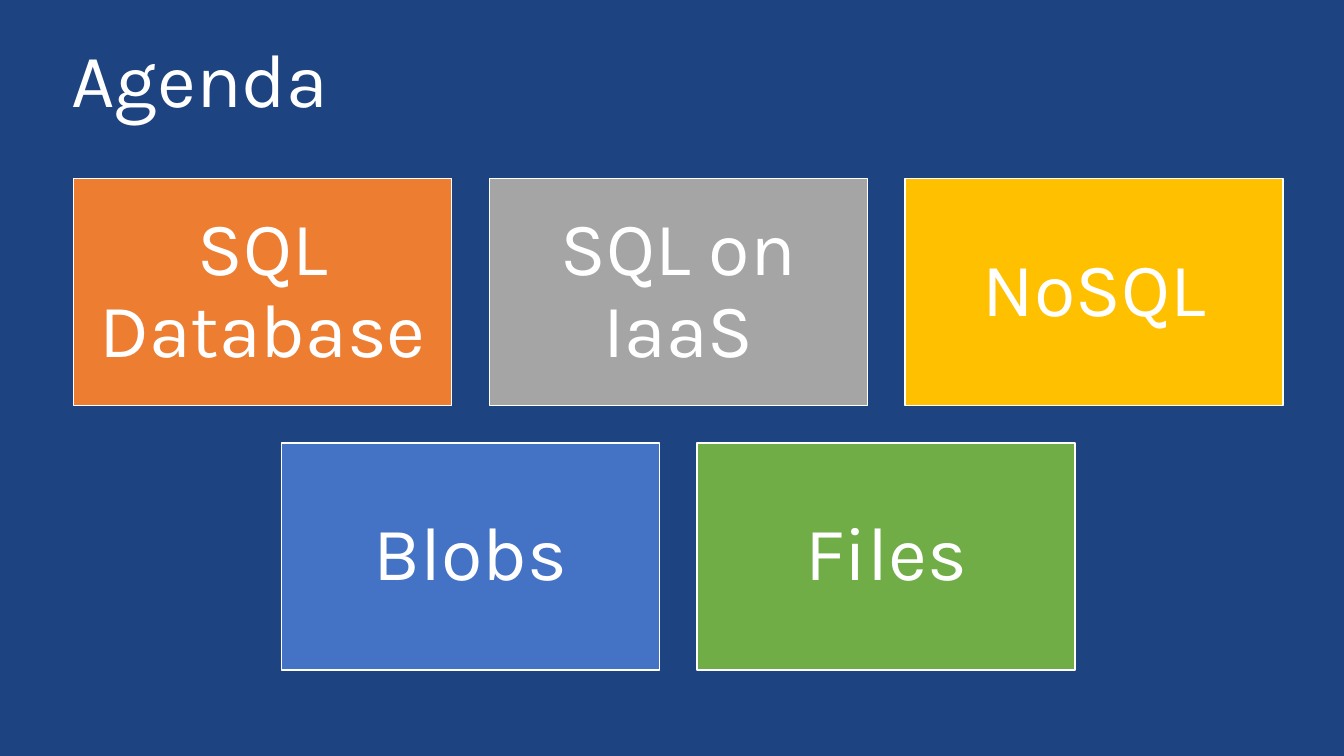
from pptx import Presentation
from pptx.dml.color import RGBColor
from pptx.enum.shapes import MSO_SHAPE
from pptx.enum.text import MSO_ANCHOR as ANCHOR, PP_ALIGN as ALIGN
from pptx.util import Pt

NAVY = RGBColor(0x1D, 0x43, 0x80)
WHITE = RGBColor(0xFF, 0xFF, 0xFF)
ORANGE = RGBColor(0xED, 0x7D, 0x31)
GRAY = RGBColor(0xA5, 0xA5, 0xA5)
GOLD = RGBColor(0xFF, 0xC0, 0x00)
BLUE = RGBColor(0x44, 0x72, 0xC4)
GREEN = RGBColor(0x70, 0xAD, 0x47)

FONT = {"name": "Karla", "size": Pt(54)}
TILE_INSETS = {f"margin_{side}": Pt(16.5) for side in ("left", "top", "right", "bottom")}
TILE_W, TILE_H, GAP = 270, 162, 27
TOPIC_ROWS = [
    [("SQL Database", ORANGE), ("SQL on IaaS", GRAY), ("NoSQL", GOLD)],
    [("Blobs", BLUE), ("Files", GREEN)],
]


def set_text(tf, text, align, **frame_format):
    for name, value in {"word_wrap": True, **frame_format}.items():
        setattr(tf, name, value)
    p = tf.paragraphs[0]
    p.alignment = align
    p.line_spacing = 0.9
    r = p.add_run()
    r.text = text
    for name, value in FONT.items():
        setattr(r.font, name, value)
    r.font.color.rgb = WHITE


def add_title(s, text, x, y, w, h):
    box = s.shapes.add_textbox(Pt(x), Pt(y), Pt(w), Pt(h))
    set_text(box.text_frame, text, ALIGN.LEFT, vertical_anchor=ANCHOR.TOP)


def add_tile(s, text, color, x, y):
    sp = s.shapes.add_shape(MSO_SHAPE.RECTANGLE, Pt(x), Pt(y), Pt(TILE_W), Pt(TILE_H))
    sp.shadow.inherit = False
    sp.fill.solid()
    sp.fill.fore_color.rgb = color
    sp.line.color.rgb = WHITE
    sp.line.width = Pt(1)
    set_text(sp.text_frame, text, ALIGN.CENTER, vertical_anchor=ANCHOR.MIDDLE, **TILE_INSETS)


def add_topics(s, rows, x, y, w):
    """Lay out the tiles in rows, each row centred in the width."""
    for i, row in enumerate(rows):
        row_w = len(row) * (TILE_W + GAP) - GAP
        left = x + (w - row_w) / 2
        for j, (text, color) in enumerate(row):
            add_tile(s, text, color, left + j * (TILE_W + GAP), y + i * (TILE_H + GAP))


def main():
    prs = Presentation()
    prs.slide_width, prs.slide_height = Pt(960), Pt(540)
    s = prs.slides.add_slide(prs.slide_layouts[6])
    s.background.fill.solid()
    s.background.fill.fore_color.rgb = NAVY
    add_title(s, "Agenda", 44, 26.5, 872.5, 75.5)
    add_topics(s, TOPIC_ROWS, 52.5, 127.5, 864)
    prs.save("out.pptx")


if __name__ == "__main__":
    main()
